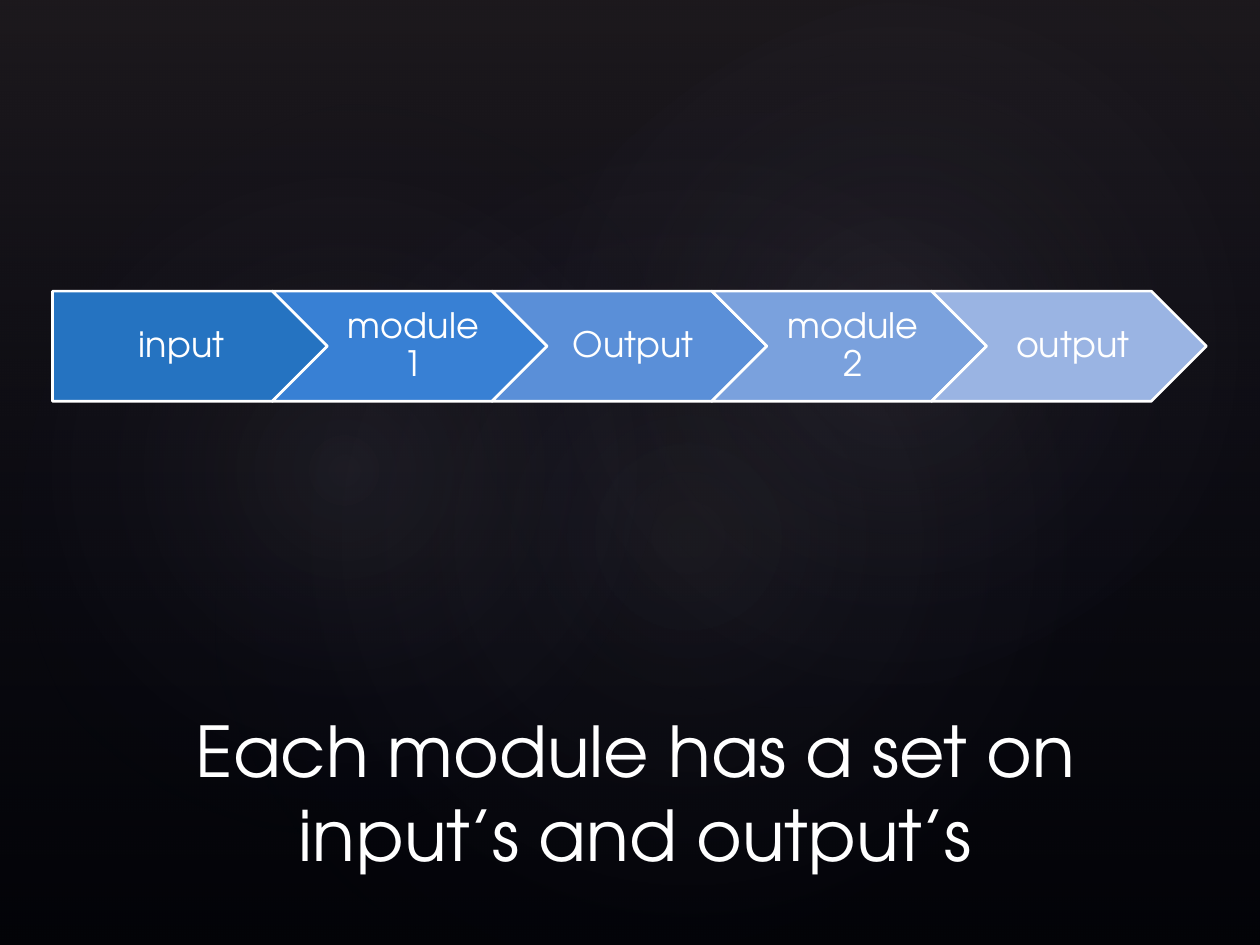
"""Build a slide showing a chain of modules with inputs and outputs."""
from dataclasses import dataclass

import lxml.etree
import pptx
import pptx.dml.color
import pptx.enum.shapes
import pptx.enum.text
import pptx.oxml
import pptx.oxml.ns
import pptx.util

Cm = pptx.util.Cm
Pt = pptx.util.Pt
RGBColor = pptx.dml.color.RGBColor
ShapeType = pptx.enum.shapes.MSO_SHAPE
Anchor = pptx.enum.text.MSO_ANCHOR

BLACK = RGBColor(0x00, 0x00, 0x00)
WHITE = RGBColor(0xFF, 0xFF, 0xFF)
NAVY = RGBColor(0x24, 0x28, 0x52)
MAUVE = RGBColor(0x50, 0x46, 0x52)
HAZE = RGBColor(0xC4, 0xBC, 0xC6)
FONT = "TeX Gyre Adventor"

STEP_LEFT, STEP_TOP = 1.06, 5.87
STEP_WIDTH, STEP_HEIGHT, STEP_PITCH = 5.54, 2.22, 4.43

LINEAR = '<a:lin ang="5400000" scaled="0"/>'
RADIAL = '<a:path path="circle"><a:fillToRect l="50000" t="50000" r="50000" b="50000"/></a:path>'


@dataclass(frozen=True)
class Stop:
    position: int
    color: RGBColor
    opacity: int


@dataclass(frozen=True)
class Glow:
    left: float
    top: float
    width: float
    height: float
    rotation: float
    opacity: int


@dataclass(frozen=True)
class Step:
    label: str
    color: RGBColor


GLOWS = [
    Glow(3.81, 2.9, 20.12, 15.85, 328.7, 7),
    Glow(-0.76, 3.25, 15.39, 12.45, 294.3, 8),
    Glow(9.09, 0.33, 18.01, 13.21, 328.7, 8),
]
STEPS = [
    Step("input", RGBColor(0x25, 0x73, 0xC1)),
    Step("module1", RGBColor(0x38, 0x80, 0xD4)),
    Step("Output", RGBColor(0x5A, 0x8F, 0xD8)),
    Step("module2", RGBColor(0x7A, 0xA1, 0xDD)),
    Step("output", RGBColor(0x9A, 0xB4, 0xE3)),
]


def fill_gradient(shape, stops: list[Stop], direction: str) -> None:
    """Give a borderless shape a gradient of partly transparent stops."""
    shape.shadow.inherit = False
    shape.line.fill.background()
    stop_list = "".join(
        f'<a:gs pos="{stop.position * 1000}"><a:srgbClr val="{stop.color}">'
        f'<a:alpha val="{stop.opacity * 1000}"/></a:srgbClr></a:gs>'
        for stop in stops
    )
    gradient = pptx.oxml.parse_xml(
        f'<a:gradFill {pptx.oxml.ns.nsdecls("a")} rotWithShape="1">'
        f"<a:gsLst>{stop_list}</a:gsLst>{direction}</a:gradFill>"
    )
    geometry = shape.element.spPr.find(pptx.oxml.ns.qn("a:prstGeom"))
    geometry.addnext(gradient)


def draw_background(slide, width: int, height: int) -> None:
    """Draw the dark backdrop with its soft glows."""
    slide.background.fill.solid()
    slide.background.fill.fore_color.rgb = BLACK
    veil = slide.shapes.add_shape(ShapeType.RECTANGLE, 0, 0, width, height)
    fill_gradient(veil, [Stop(0, MAUVE, 36), Stop(100, NAVY, 10)], LINEAR)
    for glow in GLOWS:
        ellipse = slide.shapes.add_shape(
            ShapeType.OVAL, Cm(glow.left), Cm(glow.top), Cm(glow.width), Cm(glow.height)
        )
        ellipse.rotation = glow.rotation
        fill_gradient(ellipse, [Stop(0, HAZE, glow.opacity), Stop(58, NAVY, 0)], RADIAL)


def write_text(shape, text: str, size: int, anchor: Anchor) -> None:
    """Write one centred white paragraph into a shape."""
    frame = shape.text_frame
    frame.word_wrap = True
    frame.vertical_anchor = anchor
    paragraph = frame.paragraphs[0]
    paragraph.text = text
    paragraph.alignment = pptx.enum.text.PP_ALIGN.CENTER
    paragraph.font.name = FONT
    paragraph.font.size = Pt(size)
    paragraph.font.color.rgb = WHITE


def draw_step(slide, index: int, step: Step) -> None:
    """Draw one arrow of the process chain."""
    shape = slide.shapes.add_shape(
        ShapeType.CHEVRON if index else ShapeType.PENTAGON,
        Cm(STEP_LEFT + index * STEP_PITCH), Cm(STEP_TOP), Cm(STEP_WIDTH), Cm(STEP_HEIGHT),
    )
    shape.shadow.inherit = False
    shape.fill.solid()
    shape.fill.fore_color.rgb = step.color
    shape.line.color.rgb = WHITE
    shape.line.width = Pt(1.5)
    write_text(shape, step.label, 20, Anchor.MIDDLE)
    frame = shape.text_frame
    frame.margin_left = Cm(0.22 if index else 0.3)
    frame.margin_right = Cm(0.07)
    frame.margin_top = frame.margin_bottom = Cm(0.15)
    frame.paragraphs[0].line_spacing = 0.9


def main() -> None:
    """Build and save the presentation."""
    presentation = pptx.Presentation()
    presentation.slide_width, presentation.slide_height = Cm(25.4), Cm(19.05)
    slide = presentation.slides.add_slide(presentation.slide_layouts[6])
    draw_background(slide, presentation.slide_width, presentation.slide_height)
    for index, step in enumerate(STEPS):
        draw_step(slide, index, step)
    title = slide.shapes.add_textbox(Cm(2.33), Cm(13.97), Cm(20.96), Cm(3.81))
    write_text(title, "Each module has a set on input’s and output’s", 40, Anchor.BOTTOM)
    presentation.save("out.pptx")


if __name__ == "__main__":
    main()
